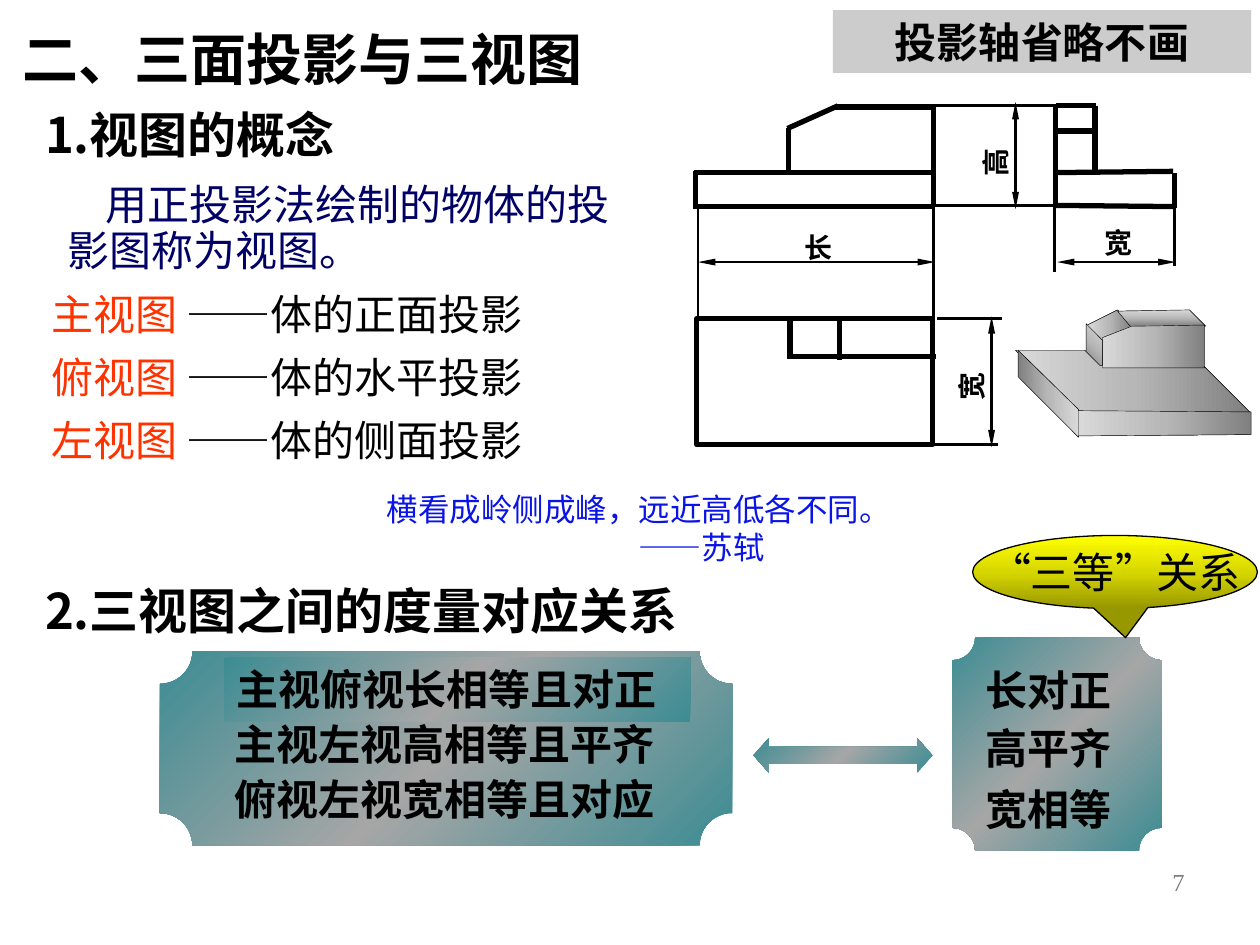
from copy import deepcopy

from lxml import etree
from pptx import Presentation
from pptx.dml.color import RGBColor
from pptx.enum.shapes import MSO_CONNECTOR, MSO_SHAPE
from pptx.enum.text import MSO_ANCHOR, PP_ALIGN
from pptx.oxml.ns import qn
from pptx.util import Inches, Pt

STRAIGHT = MSO_CONNECTOR.STRAIGHT
RECT, PLAQUE = MSO_SHAPE.RECTANGLE, MSO_SHAPE.PLAQUE
CALLOUT, ARROW = MSO_SHAPE.OVAL_CALLOUT, MSO_SHAPE.LEFT_RIGHT_ARROW
LEFT, MID, RIGHT = PP_ALIGN.LEFT, PP_ALIGN.CENTER, PP_ALIGN.RIGHT
TOP, CENTER = MSO_ANCHOR.TOP, MSO_ANCHOR.MIDDLE

BLACK = RGBColor(0x00, 0x00, 0x00)
NAVY = RGBColor(0x00, 0x00, 0x66)
BLUE = RGBColor(0x0A, 0x14, 0xE6)
RED = RGBColor(0xFF, 0x33, 0x00)
GRAY = RGBColor(0x80, 0x80, 0x80)
SILVER = RGBColor(0xCC, 0xCC, 0xCC)
TEAL = RGBColor(0x3C, 0x8C, 0x93)
TEALS = (TEAL, RGBColor(0xA6, 0xA6, 0xA6), TEAL)
GOLDS = (RGBColor(0x97, 0x97, 0x00), RGBColor(0xD7, 0xD7, 0x00),
         RGBColor(0xFF, 0xFF, 0x00))
GRAYS = (GRAY, RGBColor(0xB7, 0xB7, 0xB7), RGBColor(0xD9, 0xD9, 0xD9))

SANS, SANS_JP, SERIF = "Noto Sans CJK SC", "Noto Sans CJK JP", "Times New Roman"
THIN, THICK = 1.5, 3

# Thick edges of the views: x1, y1, x2, y2
FRONT = [(7.4, 1.64, 5.53, 1.64), (5.52, 1.66, 5.52, 1.36),
         (7.41, 1.64, 7.41, 0.83), (7.41, 0.85, 6.63, 0.85),
         (6.26, 1.38, 6.26, 1.02), (6.25, 1.02, 6.65, 0.84),
         (5.51, 1.37, 7.42, 1.37)]
PLAN = [(6.26, 2.83, 7.43, 2.83), (6.27, 2.85, 6.27, 2.53),
        (6.66, 2.53, 6.66, 2.86)]
SIDE = [(8.38, 1.65, 8.38, 0.84), (9.32, 1.65, 9.32, 1.37),
        (8.39, 1.37, 9.31, 1.36), (8.37, 1.63, 9.33, 1.64),
        (8.38, 0.84, 8.7, 0.84), (8.37, 1.04, 8.7, 1.04),
        (8.69, 0.84, 8.69, 1.36)]
# Thin guide lines and size lines between the views
GUIDES = [(5.54, 1.64, 5.54, 2.61), (7.41, 1.6, 7.41, 2.57),
          (7.43, 1.63, 8.36, 1.63), (7.4, 0.84, 8.38, 0.84),
          (7.44, 2.53, 7.95, 2.53), (7.4, 3.53, 7.92, 3.53),
          (8.37, 2.16, 8.37, 1.62), (9.32, 2.11, 9.32, 1.61)]
SIZES = [(5.54, 2.08, 7.42, 2.08), (8.06, 0.81, 8.06, 1.66),
         (7.87, 2.51, 7.87, 3.55), (8.39, 2.08, 9.33, 2.08)]
# Faces of the solid: gradient angle, corners
FACES = [
    (315, [(8.62, 2.57), (8.62, 2.79), (8.75, 2.92), (8.75, 2.7)]),
    (180, [(8.63, 2.58), (8.87, 2.46), (8.98, 2.59), (8.75, 2.7)]),
    (270, [(8.87, 2.47), (9.44, 2.46), (9.57, 2.59), (8.97, 2.59)]),
    (180, [(8.61, 2.78), (8.73, 2.9), (9.56, 2.91), (9.92, 3.27),
           (8.55, 3.27), (8.06, 2.78)]),
    (180, [(8.75, 2.68), (8.75, 2.92), (9.56, 2.92), (9.56, 2.58),
           (8.98, 2.59)]),
    (0, [(8.08, 2.78), (8.08, 2.99), (8.56, 3.47), (8.56, 3.25)]),
    (180, [(8.56, 3.26), (9.93, 3.27), (9.93, 3.45), (8.56, 3.46)]),
]


def add_run(para, text, size, color=BLACK, bold=False, face=SANS):
    run = para.add_run()
    run.text = text
    font = run.font
    font.size, font.bold, font.name = Pt(size), bold, face
    font.color.rgb = color
    east = etree.SubElement(run._r.get_or_add_rPr(), qn("a:ea"))
    east.set("typeface", face)


def set_frame(shape, align=LEFT, anchor=TOP, wrap=True):
    frame = shape.text_frame
    frame.word_wrap, frame.vertical_anchor = wrap, anchor
    para = frame.paragraphs[0]
    para.alignment = align
    return para


def add_text(slide, box, runs, align=LEFT, anchor=TOP, wrap=True, turn=0):
    """Each run is (text, size, color, bold, face), the last three optional."""
    shape = slide.shapes.add_textbox(*map(Inches, box))
    shape.rotation = turn
    para = set_frame(shape, align, anchor, wrap)
    for run in runs:
        add_run(para, *run)
    return shape


def set_blend(shape, colors, angle):
    """Three even stops; the angle runs clockwise."""
    fill = shape.fill
    fill.gradient()
    fill.gradient_angle = (360 - angle) % 360
    stops = shape.element.spPr.find(qn("a:gradFill")).find(qn("a:gsLst"))
    stops.insert(1, deepcopy(stops[0]))
    for i, (stop, color) in enumerate(zip(fill.gradient_stops, colors)):
        stop.color.rgb = color
        stop.position = i / 2


def set_line(shape, width):
    shape.line.color.rgb = BLACK
    shape.line.width = Pt(width)


def add_shape(slide, kind, box, blend=None, angle=45, tweaks=()):
    shape = slide.shapes.add_shape(kind, *map(Inches, box))
    shape.shadow.inherit = False
    for i, value in enumerate(tweaks):
        shape.adjustments[i] = value
    shape.line.fill.background()
    if blend:
        set_blend(shape, blend, angle)
    else:
        shape.fill.background()
    return shape


def add_lines(slide, lines, width, heads=False):
    for ends in lines:
        line = slide.shapes.add_connector(STRAIGHT, *map(Inches, ends))
        set_line(line, width)
        if heads:
            for tag in ("a:headEnd", "a:tailEnd"):
                etree.SubElement(line.line._get_or_add_ln(), qn(tag),
                                 type="triangle", w="sm", len="lg")
        etree.SubElement(line._element.spPr, qn("a:effectLst"))


def add_face(slide, angle, points):
    (x, y), *rest = [(Inches(a), Inches(b)) for a, b in points]
    pen = slide.shapes.build_freeform(x, y)
    pen.add_line_segments(rest, close=True)
    face = pen.convert_to_shape()
    face.shadow.inherit = False
    set_blend(face, GRAYS, angle)
    set_line(face, 0.25)


def add_heads(slide):
    add_text(slide, (0.08, 0.17, 8.5, 0.58),
             [("二、三面投影与三视图", 32, BLACK, True)], anchor=CENTER)
    for top, text in ((0.78, "1.视图的概念"), (4.56, "2.三视图之间的度量对应关系")):
        add_text(slide, (0.26, top, 6.82, 0.57), [(text, 28, BLACK, True)])
    note = add_shape(slide, RECT, (6.61, 0.08, 3.32, 0.5))
    note.fill.solid()
    note.fill.fore_color.rgb = SILVER
    add_run(set_frame(note, MID), "投影轴省略不画", 24, BLACK, True)


def add_terms(slide):
    intro = add_text(slide, (0.44, 1.41, 4.73, 0.83),
                     [("用正投影法绘制的物体的投影图称为视图。", 24, NAVY)],
                     anchor=CENTER)
    para = intro.text_frame.paragraphs[0]
    para.line_spacing = 0.9
    para._p.get_or_add_pPr().set("indent", str(Inches(0.3)))
    for i, (view, face) in enumerate((("主", "正"), ("俯", "水"), ("左", "侧"))):
        kind = "平" if face == "水" else "面"
        add_text(slide, (0.31, 2.24 + i * 0.5, 5.3, 0.5),
                 [(f"{view}视图 ", 24, RED), (f"——体的{face}{kind}投影", 24)])
    # Poem with its author set in by a margin
    poem = add_text(slide, (2.97, 3.84, 4.24, 0.71),
                    [("横看成岭侧成峰，远近高低各不同。", 18, BLUE, False, SANS_JP)],
                    wrap=False)
    para = poem.text_frame.add_paragraph()
    para._p.get_or_add_pPr().set("marL", str(Inches(2)))
    add_run(para, "——苏轼", 18, BLUE, False, SANS_JP)


def add_views(slide):
    add_lines(slide, GUIDES, THIN)
    add_lines(slide, SIZES, THIN, heads=True)
    set_line(add_shape(slide, RECT, (5.53, 2.53, 1.87, 1)), THICK)
    add_lines(slide, FRONT + PLAN + SIDE, THICK)
    for text, box, turn in (("长", (6.29, 1.78, 0.42, 0.37), 0),
                            ("高", (7.69, 1.1, 0.43, 0.37), 270),
                            ("宽", (7.35, 2.73, 0.72, 0.37), 270),
                            ("宽", (8.67, 1.74, 0.59, 0.37), 0)):
        add_text(slide, box, [(text, 16, BLACK, True)], turn=turn)
    for angle, points in FACES:
        add_face(slide, angle, points)


def add_rules(slide):
    # Long rules on the left
    add_shape(slide, PLAQUE, (1.27, 5.17, 4.54, 1.54), TEALS, tweaks=[0.167])
    first = add_shape(slide, RECT, (1.78, 5.22, 3.7, 0.51), TEALS)
    add_run(set_frame(first), "主视俯视长相等且对正", 24, BLACK, True)
    for top, text in ((5.65, "主视左视高相等且平齐"), (6.09, "俯视左视宽相等且对应")):
        add_text(slide, (1.76, top, 4.9, 0.5), [(text, 24, BLACK, True)])
    # Short rules on the right
    add_shape(slide, ARROW, (5.98, 5.86, 1.42, 0.27), TEALS, tweaks=[0.5, 0.443])
    add_shape(slide, PLAQUE, (7.56, 5.06, 1.66, 1.69), TEALS, tweaks=[0.108])
    for top, text in ((5.22, "长对正"), (5.68, "高平齐"), (6.16, "宽相等")):
        add_text(slide, (7.71, top, 1.22, 0.51), [(text, 24, BLACK, True)],
                 MID, CENTER, False)
    # Callout
    tip = add_shape(slide, CALLOUT, (7.72, 4.25, 2.26, 0.58), GOLDS, 270,
                    [0.037, 0.898])
    set_line(tip, 0.75)
    add_run(set_frame(tip, MID, CENTER, False), "“三等”关系", 24)


def main():
    deck = Presentation()
    deck.slide_width, deck.slide_height = Inches(10), Inches(7.5)
    slide = deck.slides.add_slide(deck.slide_layouts[6])
    add_heads(slide)
    add_terms(slide)
    add_views(slide)
    add_rules(slide)
    # Page number
    add_text(slide, (7.17, 6.83, 2.33, 0.52),
             [("7", 14, GRAY, False, SERIF)], RIGHT)
    deck.save("out.pptx")


if __name__ == "__main__":
    main()
